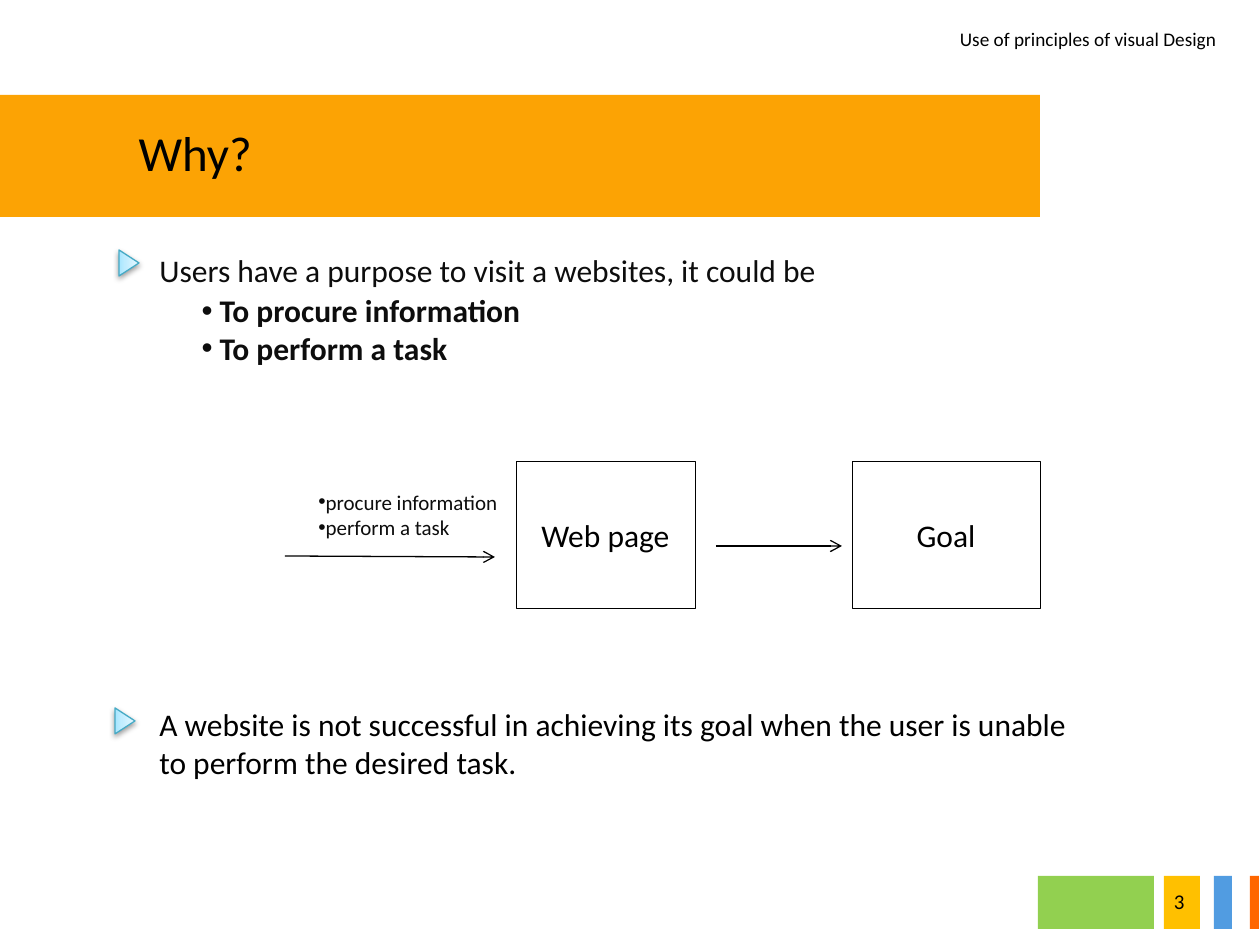
from lxml import etree
from pptx import Presentation
from pptx import util as u
from pptx.dml.color import RGBColor
from pptx.enum import shapes, text
from pptx.oxml import parse_xml
from pptx.oxml.ns import nsdecls, qn

PX = 7257
BLACK, INK = "000000", "0D0D0D"
LEFT, RIGHT, CENTER = text.PP_ALIGN.LEFT, text.PP_ALIGN.RIGHT, text.PP_ALIGN.CENTER
TOP, MIDDLE = text.MSO_ANCHOR.TOP, text.MSO_ANCHOR.MIDDLE


def paint(target, hue):
    if hasattr(target, "solid"):
        target.solid()
        target = target.fore_color
    else:
        target = target.color
    target.rgb = RGBColor.from_string(hue)


def write(box, lines, size, hue=BLACK, align=LEFT, anchor=TOP, bold=False,
          spacing=1.0, hang=None, wrap=True):
    frame = box.text_frame
    frame.text = "\n".join(lines)
    frame_format = {"word_wrap": wrap, "vertical_anchor": anchor,
                    "auto_size": text.MSO_AUTO_SIZE.NONE}
    for name, value in frame_format.items():
        setattr(frame, name, value)
    para_format = {"alignment": align, "line_spacing": spacing, "space_before": u.Pt(0)}
    font_format = {"name": "Calibri", "size": u.Pt(size), "bold": bold}
    for para in frame.paragraphs:
        for name, value in para_format.items():
            setattr(para, name, value)
        if hang is not None:
            properties = para._p.get_or_add_pPr()
            properties.set("marL", str(hang * PX))
            properties.set("indent", str(-hang * PX))
            etree.SubElement(properties, qn("a:buFont")).set("typeface", "Arial")
            etree.SubElement(properties, qn("a:buChar")).set("char", "•")
        for span in para.runs:
            for name, value in font_format.items():
                setattr(span.font, name, value)
            paint(span.font, hue)


deck = Presentation()
deck.slide_width, deck.slide_height = u.Inches(10), u.Inches(7.5)
page = deck.slides.add_slide(deck.slide_layouts[1])

blocks = [
    (0, 95, 1040, 122, "FCA304"),
    (1038, 876, 116, 53, "92D050"),
    (1164, 876, 36, 53, "FFC000"),
    (1214, 876, 18, 53, "519CE1"),
    (1250, 876, 9, 53, "FF6600"),
]
for *place, hue in blocks:
    block = page.shapes.add_shape(shapes.MSO_SHAPE.RECTANGLE, *[n * PX for n in place])
    block.shadow.inherit = False
    paint(block.fill, hue)
    block.line.fill.background()

placeholders = [
    (page.shapes.title, (126, 116, 140, 72), ["Why?"], {"size": 28, "wrap": False}),
    (page.placeholders[1], (189, 285, 630, 90),
     ["To procure information", "To perform a task"],
     {"size": 18, "hue": INK, "bold": True, "hang": 18}),
]
for box, place, lines, style in placeholders:
    page.shapes.element.append(box.element)
    for name, value in zip(("left", "top", "width", "height"), place):
        setattr(box, name, value * PX)
    write(box, lines, **style)

labels = [
    ((935, 21, 294, 37), ["Use of principles of visual Design"], {"size": 11, "align": RIGHT}),
    ((147, 226, 914, 146), ["Users have a purpose to visit a websites, it could be"],
     {"size": 18, "hue": INK, "spacing": 1.5}),
    ((306, 483, 630, 63), ["procure information", "perform a task"],
     {"size": 12, "hue": INK, "hang": 0}),
    ((147, 699, 935, 89),
     ["A website is not successful in achieving its goal when the user is unable "
      "to perform the desired task."], {"size": 18}),
    ((1155, 876, 42, 50), ["3"], {"size": 12, "align": RIGHT, "anchor": MIDDLE}),
]
for place, lines, style in labels:
    write(page.shapes.add_textbox(*[n * PX for n in place]), lines, **style)

for left, width, label in [(516, 179, "Web page"), (852, 188, "Goal")]:
    step = page.shapes.add_shape(shapes.MSO_SHAPE.RECTANGLE,
                                 left * PX, 461 * PX, width * PX, 147 * PX)
    step.shadow.inherit = False
    paint(step.fill, "FFFFFF")
    paint(step.line, BLACK)
    step.line.width = u.Pt(0.25)
    write(step, [label], 18, align=CENTER, anchor=MIDDLE)

for ends in [(285, 556, 495, 557), (716, 546, 842, 546)]:
    arrow = page.shapes.add_connector(shapes.MSO_CONNECTOR.STRAIGHT, *[n * PX for n in ends])
    paint(arrow.line, BLACK)
    arrow.line.width = u.Pt(0.75)
    etree.SubElement(arrow.line._get_or_add_ln(), qn("a:tailEnd")).set("type", "arrow")
    etree.SubElement(arrow.element.spPr, qn("a:effectLst"))

stops = "".join(f'<a:gs pos="{at}000"><a:srgbClr val="{hue}"/></a:gs>'
                for at, hue in [(0, "A7E6FF"), (35, "C1EDFF"), (100, "E7F8FF")])
gradient = (f'<a:gradFill {nsdecls("a")} rotWithShape="1"><a:gsLst>{stops}</a:gsLst>'
            '<a:lin ang="16200000" scaled="1"/></a:gradFill>')
shadow = (f'<a:effectLst {nsdecls("a")}><a:outerShdw blurRad="40000" dist="20000" '
          'dir="5400000" rotWithShape="0"><a:srgbClr val="000000"><a:alpha val="38000"/>'
          '</a:srgbClr></a:outerShdw></a:effectLst>')
for left, top in [(116, 253), (112, 711)]:
    marker = page.shapes.add_shape(shapes.MSO_SHAPE.ISOSCELES_TRIANGLE,
                                   left * PX, top * PX, 26 * PX, 20 * PX)
    marker.rotation = 90
    paint(marker.line, "46AAC5")
    marker.line.width = u.Pt(0.75)
    marker.element.spPr.insert(2, parse_xml(gradient))
    marker.element.spPr.append(parse_xml(shadow))

deck.save("out.pptx")
